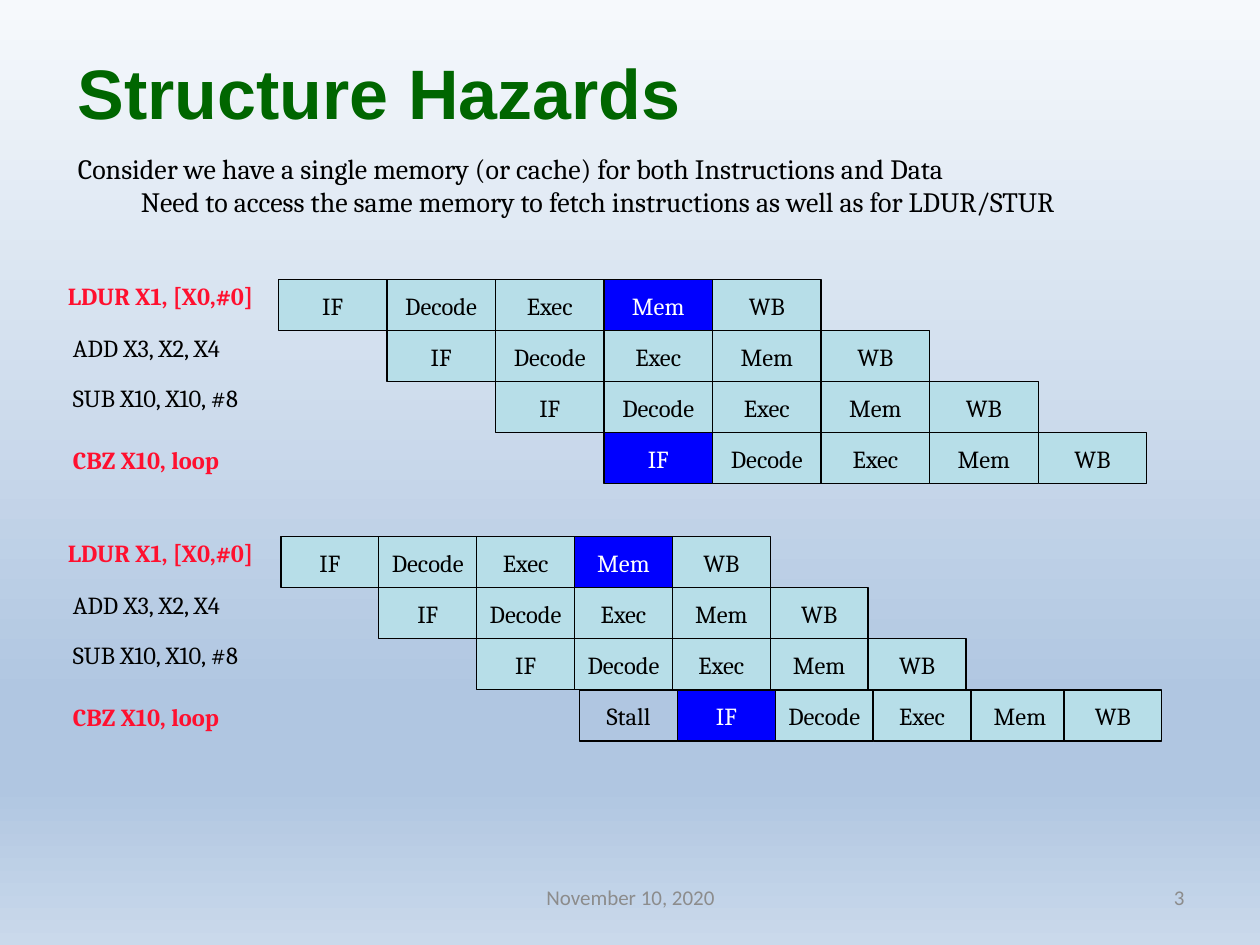
from copy import deepcopy

from lxml import etree
from pptx import Presentation
from pptx import util as u
from pptx.dml.color import RGBColor
from pptx.enum import shapes, text
from pptx.oxml import ns

BLACK = RGBColor(0x00, 0x00, 0x00)
WHITE = RGBColor(0xFF, 0xFF, 0xFF)
GREEN = RGBColor(0x00, 0x66, 0x00)
RED = RGBColor(0xFF, 0x10, 0x2F)
BLUE = RGBColor(0x00, 0x00, 0xFF)
AQUA = RGBColor(0xB7, 0xDE, 0xE8)
GRAY = RGBColor(0x8C, 0x8C, 0x8C)
SKY = [
    (0, RGBColor(0xF6, 0xF9, 0xFC)),
    (0.74, RGBColor(0xB0, 0xC6, 0xE1)),
    (0.83, RGBColor(0xB0, 0xC6, 0xE1)),
    (1, RGBColor(0xCA, 0xD9, 0xEB)),
]

STAGES = ["IF", "Decode", "Exec", "Mem", "WB"]
PITCH = 0.81 / 2  # row height
# label, left, width, offset from the block top, hot
LABELS = [
    ("LDUR X1, [X0,#0]", 0.44, 1.76, -0.04, True),
    ("ADD X3, X2, X4", 0.48, 1.59, 0.37, False),
    ("SUB X10, X10, #8", 0.48, 1.7, 0.77, False),
    ("CBZ X10, loop", 0.48, 1.45, 1.26, True),
]
HOT = {(0, "Mem"), (3, "IF")}


class Deck:
    """Holds the text style, the slide and the shapes being drawn into."""

    font, size = "Cambria", 14
    left, mid, right = text.PP_ALIGN.LEFT, text.PP_ALIGN.CENTER, text.PP_ALIGN.RIGHT
    top, center = text.MSO_ANCHOR.TOP, text.MSO_ANCHOR.MIDDLE

    def __init__(self, slide):
        self.slide = slide
        self.pen = slide.shapes

    def group(self):
        """Draw the next elements into a new group."""
        self.pen = self.slide.shapes.add_group_shape().shapes

    def sky(self, stops):
        fill = self.slide.background.fill
        fill.gradient()
        fill.gradient_angle = 270
        holder = self.slide.element.find(".//" + ns.qn("a:gsLst"))
        while len(holder) < len(stops):
            holder.append(deepcopy(holder[0]))
        for stop, (pos, color) in zip(fill.gradient_stops, stops):
            stop.position = pos
            stop.color.rgb = color

    def letter(self, shape, words, color, size=None, font=None, bold=False,
               align=left, anchor=top, wrap=False):
        """Put styled words into a shape."""
        frame = shape.text_frame
        frame.text = words
        frame.word_wrap = wrap
        frame.vertical_anchor = anchor
        for para in frame.paragraphs:
            para.alignment = align
            for run in para.runs:
                run.font.name = font or self.font
                run.font.size = u.Pt(size or self.size)
                run.font.bold = bold
                run.font.color.rgb = color

    def label(self, words, box, color=BLACK, **style):
        shape = self.pen.add_textbox(*map(u.Inches, box))
        self.letter(shape, words, color, **style)
        return shape

    def cell(self, words, box, fill=None):
        shape = self.pen.add_shape(shapes.MSO_SHAPE.RECTANGLE, *map(u.Inches, box))
        shape.shadow.inherit = False
        if fill is None:
            shape.fill.background()
        else:
            shape.fill.solid()
            shape.fill.fore_color.rgb = fill
        shape.line.color.rgb = BLACK
        shape.line.width = u.Pt(0.75)
        self.letter(shape, words, WHITE if fill == BLUE else BLACK,
                    align=self.mid, anchor=self.center)

    def tab(self, para, pos):
        props = para._p.get_or_add_pPr()
        tabs = etree.SubElement(props, ns.qn("a:tabLst"))
        etree.SubElement(tabs, ns.qn("a:tab"), pos=str(u.Inches(pos)), algn="l")

    def pipe(self, left, top, width, stall=None):
        """Draw one pipeline; stall is the left edge of a stalled last row."""
        self.group()
        for row, (words, x, span, drop, hot) in enumerate(LABELS):
            y = top + row * PITCH
            start = left + row * width
            late = stall is not None and row == len(LABELS) - 1
            if late:
                self.cell("Stall", (stall, y, width, PITCH))
                start = stall + width
            for col, stage in enumerate(STAGES):
                edge = start + col * width
                if late and stage == "WB":
                    edge -= 0.04  # the last stage overlaps Mem slightly
                fill = BLUE if (row, stage) in HOT else AQUA
                self.cell(stage, (edge, y, width, PITCH), fill)
            self.label(words, (x, top + drop, span, 0.34),
                       RED if hot else BLACK, bold=hot)


def main():
    prs = Presentation()
    prs.slide_width, prs.slide_height = u.Inches(10), u.Inches(7.5)
    deck = Deck(prs.slides.add_slide(prs.slide_layouts[6]))
    deck.sky(SKY)

    foot = dict(color=GRAY, size=12, font="Calibri", anchor=deck.center, wrap=True)
    deck.label("3", (7.17, 6.92, 2.33, 0.4), align=deck.right, **foot)
    deck.label("November 10, 2020", (3.42, 6.92, 3.17, 0.4), align=deck.mid, **foot)
    deck.label("Structure Hazards", (0.52, 0.31, 9.03, 0.83), GREEN, size=40,
               font="Arial", bold=True, anchor=deck.center, wrap=True)
    body = deck.label(
        "Consider we have a single memory (or cache) for both Instructions and Data\n"
        "\tNeed to access the same memory to fetch instructions as well as for LDUR/STUR",
        (0.52, 1.15, 9.17, 0.64), size=16, wrap=True)
    deck.tab(body.text_frame.paragraphs[1], 0.5)

    deck.pipe(2.21, 2.22, 6.03 / 7)
    deck.pipe(2.23, 4.26, 4.66 / 6, stall=4.6)
    prs.save("out.pptx")


if __name__ == "__main__":
    main()
